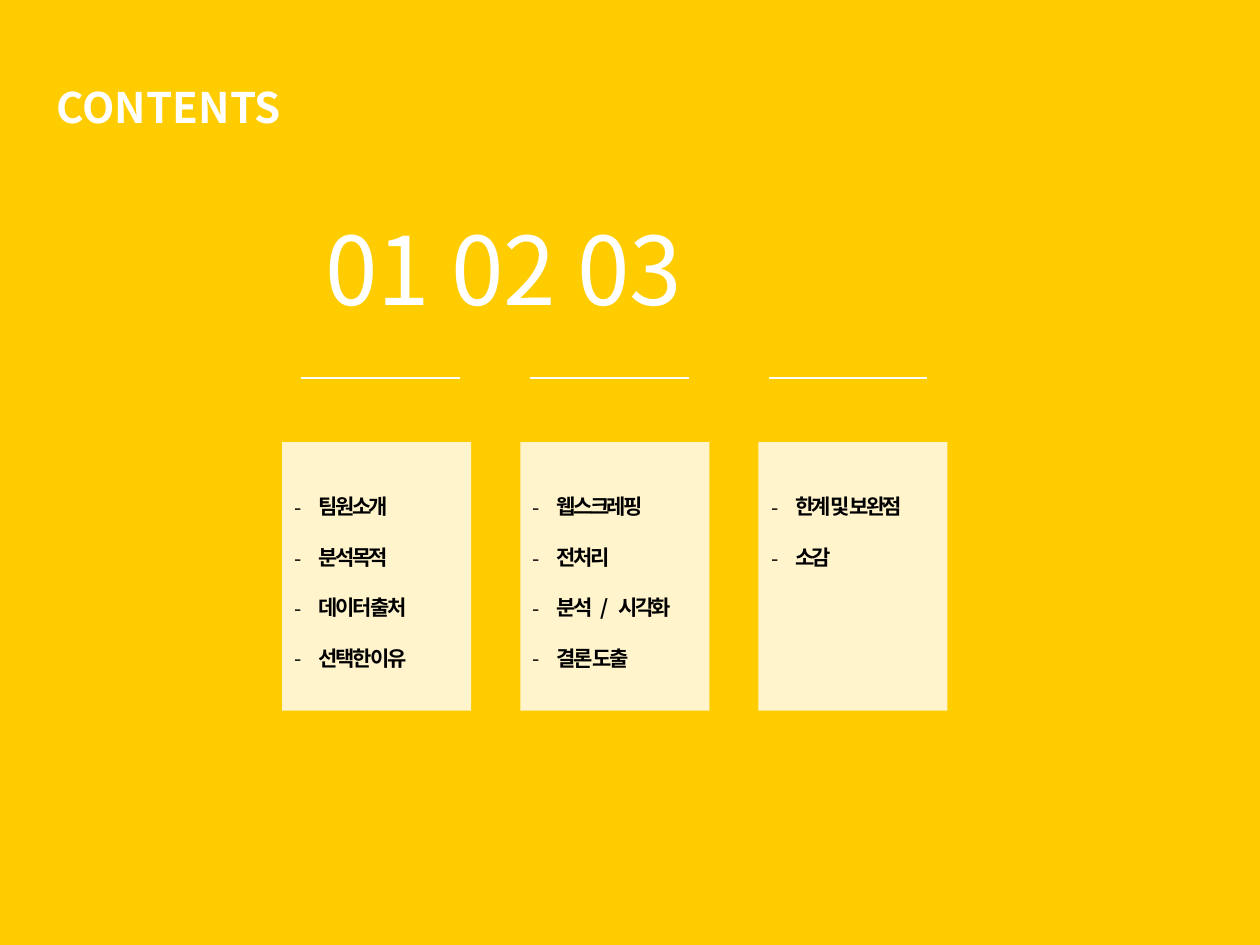
import pptx
import pptx.dml.color
import pptx.enum.shapes
import pptx.enum.text
import pptx.oxml
import pptx.oxml.ns
import pptx.util
from lxml import etree

Inches = pptx.util.Inches
Pt = pptx.util.Pt
qn = pptx.oxml.ns.qn
ANCHOR = pptx.enum.text.MSO_ANCHOR

COLORS = {"background": "FFCC00", "light": "FFFFFF", "text": "000000"}
FONT = "Noto Sans CJK KR"
FORMATS = {
    "title": {"size": Pt(24), "bold": True},
    "number": {"size": Pt(54), "bold": False},
    "item": {"size": Pt(12), "bold": True},
}

# Each item is a list of runs: (text, tracking in hundredths of a point)
TIGHT, LOOSE = -150, 150
LISTS = [
    [[("팀원소개", TIGHT)], [("분석목적", TIGHT)],
     [("데이터 출처", TIGHT)], [("선택한 이유", TIGHT)]],
    [[("웹스크레핑", TIGHT)], [("전처리", TIGHT)],
     [("분석", TIGHT), (" / ", LOOSE), ("시각화", TIGHT)], [("결론 도출", TIGHT)]],
    [[("한계 및 보완점", TIGHT)], [("소감", TIGHT)]],
]
CARD_LEFT, CARD_STEP, CARD_WIDTH = 2.24, 1.89, 1.5
RULE_LEFTS = [2.39, 4.21, 6.1]
NUMBER_STEP = 1.51


def rgb(name):
    return pptx.dml.color.RGBColor.from_string(COLORS[name])


class Deck:
    def __init__(self, prs, layout):
        self.s = prs.slides.add_slide(prs.slide_layouts[layout])
        fill = self.s.background.fill
        fill.solid()
        fill.fore_color.rgb = rgb("background")

    def frame(self, idx, box, anchor):
        sp = self.s.placeholders[idx]
        sp.left, sp.top, sp.width, sp.height = map(Inches, box)
        tf = sp.text_frame
        values = {
            "word_wrap": True, "vertical_anchor": anchor,
            "auto_size": pptx.enum.text.MSO_AUTO_SIZE.NONE,
            "margin_left": Inches(0.1), "margin_right": Inches(0.1),
            "margin_top": Inches(0.05), "margin_bottom": Inches(0.05),
        }
        for key, value in values.items():
            setattr(tf, key, value)
        return tf

    def run(self, p, text, style, color, tracking=0):
        r = p.add_run()
        r.text = text
        for key, value in {"name": FONT, **FORMATS[style]}.items():
            setattr(r.font, key, value)
        r.font.color.rgb = rgb(color)
        rPr = r.font._element
        etree.SubElement(rPr, qn("a:ea"), typeface=FONT)
        if tracking:
            rPr.set("spc", str(tracking))

    def heading(self, idx, text, style, box, tabs=()):
        p = self.frame(idx, box, ANCHOR.MIDDLE).paragraphs[0]
        pPr = p._p.get_or_add_pPr()
        if tabs:
            tab_list = etree.SubElement(pPr, qn("a:tabLst"))
            for pos in tabs:
                etree.SubElement(tab_list, qn("a:tab"), pos=str(Inches(pos)), algn="l")
        p.alignment = pptx.enum.text.PP_ALIGN.LEFT
        p.space_before = Pt(0)
        self.run(p, text, style, "light")

    def bullets(self, idx, items, box):
        tf = self.frame(idx, box, ANCHOR.TOP)
        for i, item in enumerate(items):
            p = tf.paragraphs[0] if i == 0 else tf.add_paragraph()
            pPr = p._p.get_or_add_pPr()
            pPr.set("marL", str(Inches(0.19)))
            pPr.set("indent", str(-Inches(0.19)))
            etree.SubElement(pPr, qn("a:buFont"), typeface=FONT)
            etree.SubElement(pPr, qn("a:buChar"), char="-")
            p.line_spacing = Pt(14.4)
            p.space_before = Pt(14.4 if i else 0)
            for text, tracking in item:
                self.run(p, text, "item", "text", tracking)

    def card(self, box):
        sp = self.s.shapes.add_shape(
            pptx.enum.shapes.MSO_SHAPE.RECTANGLE, *map(Inches, box))
        sp.shadow.inherit = False
        sp.fill.solid()
        sp.fill.fore_color.rgb = rgb("light")
        sp.line.fill.background()
        color = sp._element.spPr.find(".//" + qn("a:srgbClr"))
        etree.SubElement(color, qn("a:alpha"), val="80000")
        # Cards lie behind the lists
        self.s.shapes._spTree.insert(2, sp._element)

    def rule(self, left, top, width):
        line = self.s.shapes.add_connector(
            pptx.enum.shapes.MSO_CONNECTOR.STRAIGHT,
            *map(Inches, (left, top, left + width, top)))
        line.line.color.rgb = rgb("light")
        line.line.width = Pt(0.75)
        etree.SubElement(line._element.spPr, qn("a:effectLst"))


def main():
    prs = pptx.Presentation()
    prs.slide_width, prs.slide_height = Inches(10), Inches(7.5)
    deck = Deck(prs, 4)  # comparison layout: a title and four bodies

    # Title and section numbers
    deck.heading(0, "CONTENTS", "title", (0.35, 0.6, 4.57, 0.5))
    deck.heading(1, "01\t02\t03", "number", (2.48, 1.62, 4.88, 1.01),
                 tabs=(NUMBER_STEP, 2 * NUMBER_STEP))

    # One rule, card and list for each section
    for i, (items, rule_left) in enumerate(zip(LISTS, RULE_LEFTS)):
        left = CARD_LEFT + i * CARD_STEP
        deck.rule(rule_left, 3, 1.26)
        deck.card((left, 3.51, CARD_WIDTH, 2.13))
        deck.bullets(i + 2, items, (left, 3.87, CARD_WIDTH, 1.7))

    prs.save("out.pptx")


if __name__ == "__main__":
    main()
